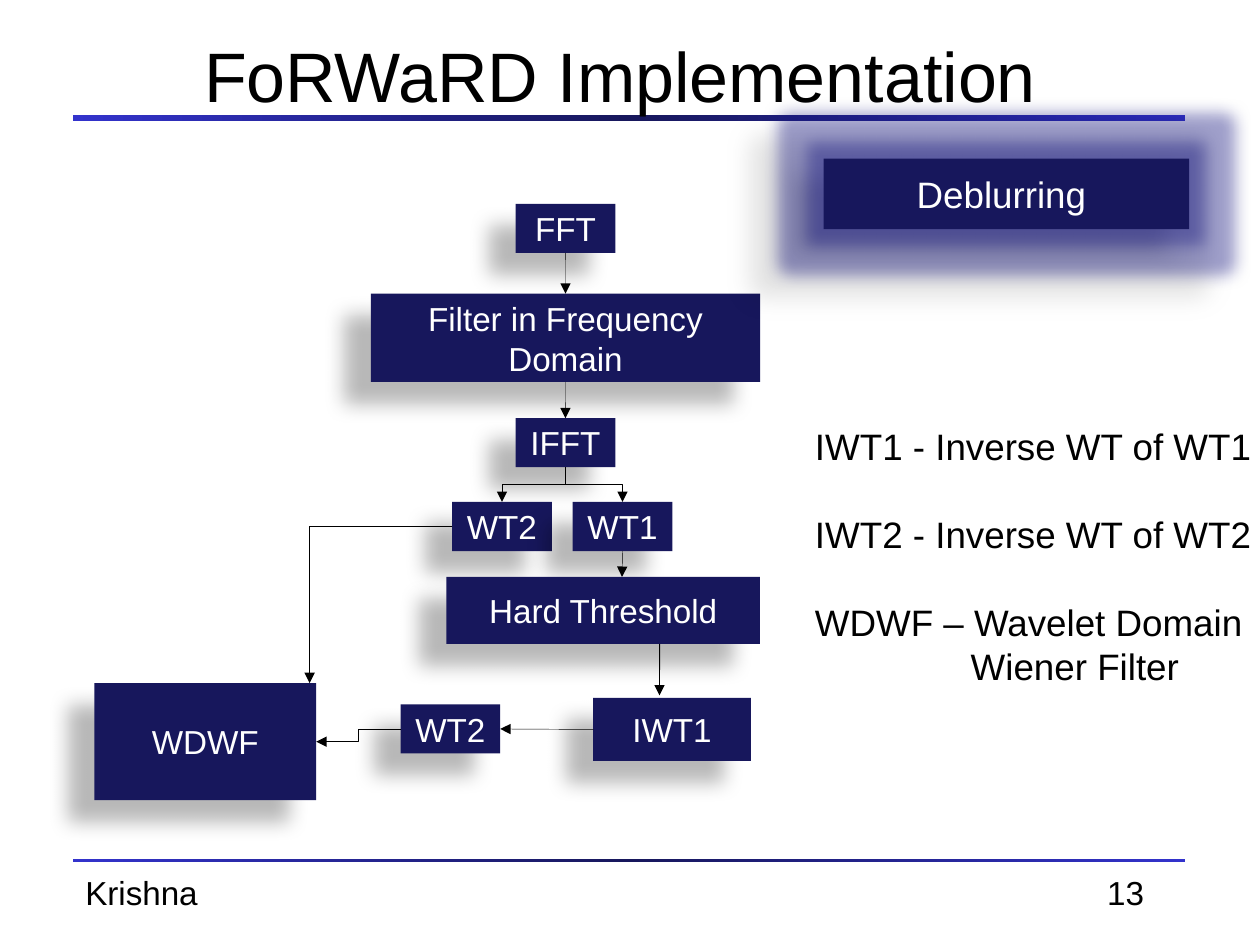
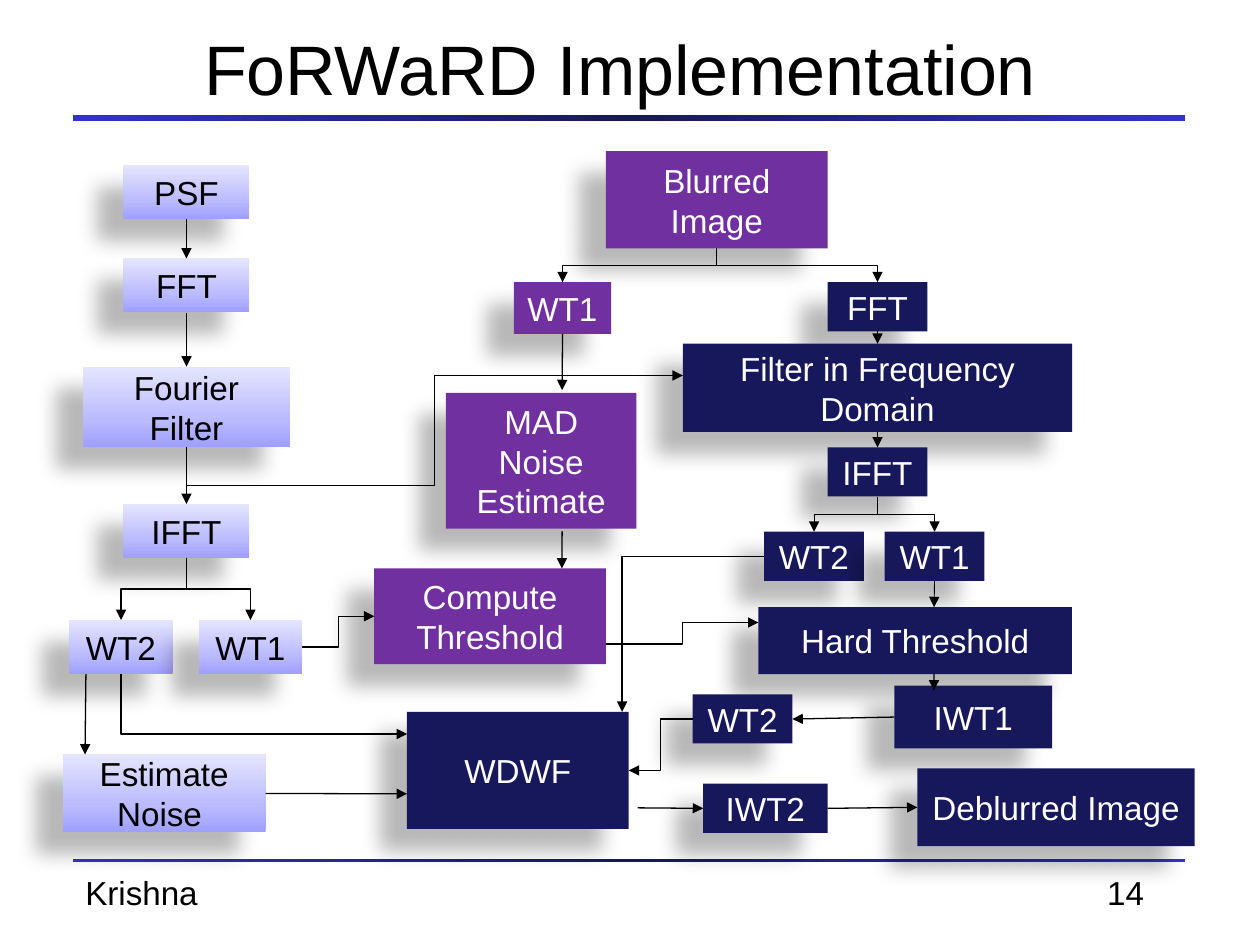
import pptx
import pptx.util
import pptx.dml.color
import pptx.enum.shapes
import pptx.enum.text
import pptx.oxml
import pptx.oxml.ns
from lxml import etree

Cm, Pt = pptx.util.Cm, pptx.util.Pt
qn = pptx.oxml.ns.qn
ALIGN = pptx.enum.text.PP_ALIGN
ANCHOR = pptx.enum.text.MSO_ANCHOR
KIND = pptx.enum.shapes.MSO_CONNECTOR
RECT = pptx.enum.shapes.MSO_SHAPE.RECTANGLE

FONT = "Arial"
HEX = {"navy": "17175C", "plum": "7030A0", "blue": "3333CC", "glow": "14147F",
       "black": "000000", "white": "FFFFFF",
       "pale": "E5E5FF", "mid": "BBBBFF", "deep": "9F9FFF"}
BAR = [(0, "blue"), (50, "navy"), (100, "blue")]
LIGHT = [(0, "deep"), (35, "mid"), (100, "pale")]

# Box sizes, and points on a box as shares of its width and height
SMALL, WIDE, BROAD = (2.01, 0.99), (7.85, 1.78), (6.32, 1.35)
INVERSE, WIENER = (3.18, 1.27), (4.47, 2.36)
TOP, LOW, LEFT, RIGHT = (0.5, 0), (0.5, 1), (0, 0.5), (1, 0.5)


def tone(name):
    return pptx.dml.color.RGBColor.from_string(HEX[name])


def child(root, tag, **attrs):
    node = etree.SubElement(root, qn(tag))
    for key, value in attrs.items():
        node.set(key, str(int(value)) if not isinstance(value, str) else value)
    return node


def tint(root, name, share=None):
    node = child(root, "a:srgbClr", val=HEX[name])
    if share:
        child(node, "a:alpha", val=share * 1000)


# Text
def write(frame, lines, size, color, align=ALIGN.LEFT, anchor=ANCHOR.TOP):
    frame.word_wrap = True
    frame.vertical_anchor = anchor
    for i, line in enumerate(lines):
        para = frame.paragraphs[0] if i == 0 else frame.add_paragraph()
        para.alignment = align
        para.line_spacing = Pt(size * 1.2)
        run = para.add_run()
        run.text = line
        run.font.size = Pt(size)
        run.font.name = FONT
        run.font.color.rgb = tone(color)


def label(slide, lines, area, size, **more):
    frame = slide.shapes.add_textbox(*map(Cm, area)).text_frame
    write(frame, lines, size, "black", **more)
    return frame


# Filled shapes
def paint(shape, look, angle=0):
    if isinstance(look, str):
        shape.fill.solid()
        shape.fill.fore_color.rgb = tone(look)
        return
    shape.fill.gradient()
    shape.fill.gradient_angle = angle
    stops = shape._element.spPr.find(".//" + qn("a:gsLst"))
    for stop in list(stops):
        stops.remove(stop)
    for place, name in look:
        tint(child(stops, "a:gs", pos=place * 1000), name)


def block(slide, area, look, angle=0):
    shape = slide.shapes.add_shape(RECT, *map(Cm, area))
    shape.line.fill.background()
    shape.shadow.inherit = False
    paint(shape, look, angle)
    return shape


def box(slide, text, mid, top, dims, look="navy", size=19, glow=False):
    """Shadowed box, placed by its middle and its top."""
    wide, high = dims
    shape = block(slide, (mid - wide / 2, top, wide, high), look, 90)
    effects = shape._element.spPr.find(qn("a:effectLst"))
    if glow:
        tint(child(effects, "a:glow", rad=Cm(0.64)), "glow", 40)
    shade = child(effects, "a:outerShdw", blurRad=Pt(11.8), dist=Pt(19.7),
                  dir=141 * 60000, algn="ctr", rotWithShape="0")
    tint(shade, "black", 28)
    write(shape.text_frame, text.split("\n"), size,
          "black" if look is LIGHT else "white", ALIGN.CENTER, ANCHOR.MIDDLE)
    return shape


# Arrows
def spot(shape, share):
    return (int(shape.left + shape.width * share[0]),
            int(shape.top + shape.height * share[1]))


def link(slide, first, out, last, into, way="line", width=0.75):
    """Arrow; way is line, or across/down (first leg) with 2 or 3 legs."""
    (x1, y1), (x2, y2) = spot(first, out), spot(last, into)
    if way == "line":
        arrow = slide.shapes.add_connector(KIND.STRAIGHT, x1, y1, x2, y2)
    else:
        wide, high = abs(x2 - x1), abs(y2 - y1)
        turn, flip = (0, "flipV" if y2 < y1 else None)
        if way.startswith("down"):
            wide, high = high, wide
            turn, flip = (270, "flipH") if x2 > x1 else (90, None)
        elif x2 < x1:
            turn, flip = 180, "flipV"
        left, top = (x1 + x2 - wide) // 2, (y1 + y2 - high) // 2
        arrow = slide.shapes.add_connector(
            KIND.ELBOW, left, top, left + wide, top + high)
        props = arrow._element.spPr
        props.find(qn("a:prstGeom")).set("prst", "bentConnector" + way[-1])
        frame = props.find(qn("a:xfrm"))
        frame.set("rot", str(turn * 60000))
        if flip:
            frame.set(flip, "1")
    arrow.line.width = Pt(width)
    arrow.line.color.rgb = tone("black")
    props = arrow._element.spPr
    child(props.find(qn("a:ln")), "a:tailEnd", type="triangle")
    child(props, "a:effectLst")


# Shared page parts
def page(deck, number, top):
    slide = deck.slides.add_slide(deck.slide_layouts[6])
    block(slide, (1.47, 2.31, 22.43, 0.13), BAR)
    block(slide, (1.47, 17.32, 22.43, 0.05), BAR)
    label(slide, ["Krishna"], (1.47, 17.45, 7.04, 1.07), 19)
    label(slide, [str(number)], (22.07, 17.45, 1.85, 1.07), 19)
    label(slide, ["FoRWaRD Implementation "], (1.9, top, 21.59, 2.34), 40,
          align=ALIGN.CENTER, anchor=ANCHOR.MIDDLE)
    return slide


def chain(slide, axis, tops, width):
    """Filter steps around an axis; gives the boxes that others join."""
    fft = box(slide, "FFT", axis, tops[0], SMALL)
    sieve = box(slide, "Filter in Frequency Domain", axis, tops[1], WIDE)
    ifft = box(slide, "IFFT", axis, tops[2], SMALL)
    wt2 = box(slide, "WT2", axis - 1.28, tops[3], SMALL)
    wt1 = box(slide, "WT1", axis + 1.15, tops[3], SMALL)
    hard = box(slide, "Hard Threshold", axis + 0.76, tops[4], BROAD)
    link(slide, fft, LOW, sieve, TOP, width=width)
    link(slide, sieve, LOW, ifft, TOP, width=width)
    for branch in (wt2, wt1):
        link(slide, ifft, LOW, branch, TOP, "down3", width)
    link(slide, wt1, LOW, hard, (0.56, 0), width=width)
    return fft, sieve, wt2, hard


def deblur(deck):
    slide = page(deck, 13, 0.33)
    fft, sieve, wt2, hard = chain(
        slide, 11.4, (4.11, 5.92, 8.43, 10.12, 11.63), 0.25)
    iwt1 = box(slide, "IWT1", 13.55, 14.07, INVERSE)
    again = box(slide, "WT2", 9.08, 14.2, SMALL)
    wdwf = box(slide, "WDWF", 4.14, 13.77, WIENER)
    box(slide, "Deblurring ", 20.29, 3.2, (7.37, 1.42), size=21, glow=True)

    link(slide, wt2, LEFT, wdwf, (0.97, 0), "across2", 0.25)
    link(slide, again, LEFT, wdwf, RIGHT, "across3", 0.25)
    link(slide, iwt1, LEFT, again, RIGHT, width=0.25)
    link(slide, hard, (0.68, 1), iwt1, (0.42, -0.04), width=0.5)

    # Short forms explained
    notes = label(slide, ["IWT1 - Inverse WT of WT1", "IWT2 - Inverse WT of WT2",
                          "WDWF – Wavelet Domain", "Wiener Filter"],
                  (16.18, 8.41, 9.22, 5.6), 21)
    notes.margin_right = 0
    for para in notes.paragraphs[1:3]:
        para.space_before = Pt(25.2)
    notes.paragraphs[3]._p.get_or_add_pPr().set("marL", str(Cm(3.14)))


def whole(deck):
    slide = page(deck, 14, 0.2)

    # Blur kernel branch
    plain, short = (2.54, 1.09), (2.08, 1.09)
    psf = box(slide, "PSF", 3.76, 3.33, plain, LIGHT)
    fft = box(slide, "FFT", 3.76, 5.21, plain, LIGHT)
    four = box(slide, "Fourier Filter", 3.76, 7.39, (4.17, 1.63), LIGHT)
    ifft = box(slide, "IFFT", 3.76, 10.16, plain, LIGHT)
    wt2 = box(slide, "WT2", 2.44, 12.5, short, LIGHT)
    wt1 = box(slide, "WT1", 5.05, 12.5, short, LIGHT)
    noise = box(slide, "Estimate Noise ", 3.31, 15.21, (4.09, 1.57), LIGHT)

    # Image filter branch
    main_fft, sieve, main_wt2, hard = chain(
        slide, 17.69, (5.69, 6.93, 9.02, 10.72, 12.24), 0.5)
    iwt1 = box(slide, "IWT1", 19.62, 13.82, INVERSE)
    again = box(slide, "WT2", 14.97, 14, SMALL)
    wdwf = box(slide, "WDWF", 10.44, 14.35, WIENER)
    sharp = box(slide, "Deblurred Image", 21.29, 15.49, (5.59, 1.57))
    iwt2 = box(slide, "IWT2", 15.43, 15.8, (2.51, 0.99))

    # Threshold branch
    blur = box(slide, "Blurred Image", 14.45, 3.05, (4.47, 1.96), "plum")
    wave = box(slide, "WT1", 11.34, 5.69, (1.96, 1.04), "plum")
    limit = box(slide, "Compute\nThreshold", 9.88, 11.46, (4.67, 1.93), "plum")
    mad = box(slide, "MAD Noise Estimate", 10.91, 7.92, (3.84, 2.74), "plum")

    # Straight arrows
    for first, out, last, into in [
            (psf, LOW, fft, TOP), (fft, LOW, four, TOP), (four, LOW, ifft, TOP),
            (wt2, (0.16, 1), noise, (0.11, 0)), (noise, RIGHT, wdwf, (0, 0.7)),
            (wave, LOW, mad, (0.61, -0.02)), (mad, (0.61, 1.02), limit, (0.81, 0)),
            (hard, (0.56, 1), iwt1, (0.25, 0.08)), (iwt1, LEFT, again, RIGHT),
            (wdwf, (1.04, 0.82), iwt2, LEFT), (iwt2, RIGHT, sharp, LEFT)]:
        link(slide, first, out, last, into)

    # Bent arrows
    for first, out, last, into, way in [
            (ifft, LOW, wt2, TOP, "down3"), (ifft, LOW, wt1, TOP, "down3"),
            (blur, LOW, wave, TOP, "down3"), (blur, LOW, main_fft, TOP, "down3"),
            (wt2, LOW, wdwf, (0, 0.19), "down2"),
            (main_wt2, LEFT, wdwf, (0.97, 0), "across2"),
            (again, LEFT, wdwf, RIGHT, "across3"),
            (wt1, RIGHT, limit, LEFT, "across3"),
            (limit, (1, 0.79), hard, (0, 0.23), "across3"),
            (four, (0.5, 1.47), sieve, (0, 0.36), "across3")]:
        link(slide, first, out, last, into, way)


def main():
    deck = pptx.Presentation()
    deck.slide_width, deck.slide_height = Cm(25.4), Cm(19.05)
    deblur(deck)
    whole(deck)
    deck.save("out.pptx")


if __name__ == "__main__":
    main()
